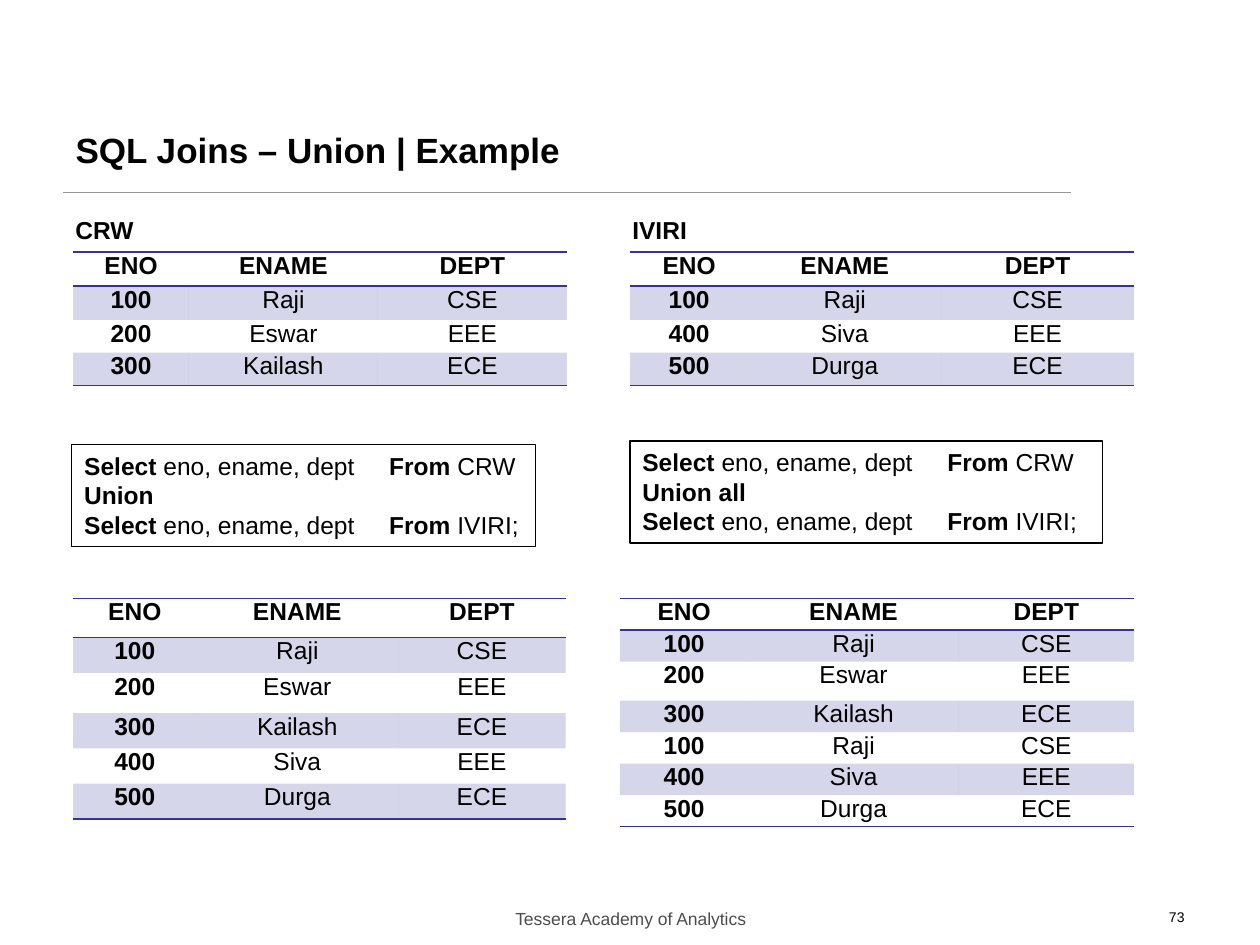
"""Build the slide that compares UNION with UNION ALL on two tables."""
from lxml.etree import SubElement
from pptx import Presentation
from pptx.dml.color import RGBColor
from pptx.enum.shapes import MSO_CONNECTOR, MSO_SHAPE
from pptx.enum.text import MSO_ANCHOR, PP_ALIGN
from pptx.oxml import parse_xml
from pptx.oxml.ns import nsdecls, qn
from pptx.util import Inches, Pt

COLORS = {"text": "000000", "footer": "4D4D4D", "rule": "969696", "table": "333399"}
FONT = "Arial"
PLAIN_STYLE = "{2D5ABB26-0587-4C30-8999-92F81FD0307C}"
HEADER = ("ENO", "ENAME", "DEPT")
LEFT_ROWS = [("100", "Raji", "CSE"), ("200", "Eswar", "EEE"), ("300", "Kailash", "ECE")]
RIGHT_ROWS = [("100", "Raji", "CSE"), ("400", "Siva", "EEE"), ("500", "Durga", "ECE")]
UNION_ROWS = LEFT_ROWS + [row for row in RIGHT_ROWS if row not in LEFT_ROWS]
LEFT_NAME, RIGHT_NAME = "CRW", "IVIRI"


def color(name):
    return RGBColor.from_string(COLORS[name])


def add_run(p, text, size=14, bold=False, fill="text"):
    r = p.add_run()
    r.text = text
    r.font.name, r.font.size, r.font.bold = FONT, Pt(size), bold
    r.font.color.rgb = color(fill)


def add_title(s, text):
    sp = s.shapes.title
    sp.left, sp.top, sp.width, sp.height = map(Inches, (0.5, 0.85, 7.5, 0.67))
    tf = sp.text_frame
    tf.vertical_anchor = MSO_ANCHOR.MIDDLE
    p = tf.paragraphs[0]
    p.alignment = PP_ALIGN.LEFT
    add_run(p, text, 20, True)


def add_rule(s):
    line = s.shapes.add_connector(
        MSO_CONNECTOR.STRAIGHT, Inches(0.5), Inches(1.53), Inches(8.5), Inches(1.53))
    line.line.color.rgb = color("rule")
    line.line.width = Pt(0.75)
    SubElement(line._element.spPr, qn("a:effectLst"))


def add_label(s, box, text, align=PP_ALIGN.LEFT, **font):
    tf = s.shapes.add_textbox(*map(Inches, box)).text_frame
    tf.word_wrap = True
    p = tf.paragraphs[0]
    p.alignment = align
    add_run(p, text, **font)


def add_select(p, table):
    tabs = SubElement(p._p.get_or_add_pPr(), qn("a:tabLst"))
    SubElement(tabs, qn("a:tab"), pos=str(Inches(2.42)), algn="l")
    add_run(p, "Select ", bold=True)
    add_run(p, "eno, ename, dept\t")
    add_run(p, "From", bold=True)
    add_run(p, " " + table)


def add_query(s, box, operator):
    sp = s.shapes.add_shape(MSO_SHAPE.RECTANGLE, *map(Inches, box))
    sp.shadow.inherit = False
    sp.fill.background()
    sp.line.color.rgb = color("text")
    sp.line.width = Pt(0.75)
    tf = sp.text_frame
    tf.word_wrap = True
    tf.vertical_anchor = MSO_ANCHOR.TOP
    first, middle, last = tf.paragraphs[0], tf.add_paragraph(), tf.add_paragraph()
    add_select(first, LEFT_NAME)
    add_run(middle, operator, bold=True)
    add_select(last, RIGHT_NAME + ";")
    for p in tf.paragraphs:
        p.alignment = PP_ALIGN.LEFT


def add_border(cell, side):
    cell._tc.get_or_add_tcPr().insert(0, parse_xml(
        f'<a:{side} {nsdecls("a")} w="{Pt(1)}"><a:solidFill>'
        f'<a:srgbClr val="{COLORS["table"]}"/></a:solidFill></a:{side}>'))


def fill_cell(cell, tinted):
    if not tinted:
        cell.fill.background()
        return
    cell.fill.solid()
    cell.fill.fore_color.rgb = color("table")
    rgb = cell._tc.tcPr.find(".//" + qn("a:srgbClr"))
    SubElement(rgb, qn("a:alpha"), val="20000")


def add_table(s, left, top, widths, heights, rows):
    data = [HEADER] + rows
    frame = s.shapes.add_table(len(data), len(HEADER), Inches(left), Inches(top),
                               Inches(sum(widths)), Inches(sum(heights)))
    table = frame.table
    table.first_row = table.horz_banding = False
    table._tbl.tblPr.find(qn("a:tableStyleId")).text = PLAIN_STYLE
    for column, width in zip(table.columns, widths):
        column.width = Inches(width)
    for i, (values, height) in enumerate(zip(data, heights)):
        table.rows[i].height = Inches(height)
        for j, value in enumerate(values):
            cell = table.cell(i, j)
            cell.margin_left = cell.margin_right = cell.margin_top = cell.margin_bottom = 0
            p = cell.text_frame.paragraphs[0]
            p.alignment = PP_ALIGN.CENTER
            add_run(p, value, bold=i == 0 or j == 0)
            fill_cell(cell, i % 2 == 1)
            if i in (0, len(data) - 1):
                add_border(cell, "lnB")
            if i == 0:
                add_border(cell, "lnT")


def main():
    prs = Presentation()
    prs.slide_width, prs.slide_height = Inches(10), Inches(7.5)
    s = prs.slides.add_slide(prs.slide_layouts[5])
    add_rule(s)
    add_label(s, (3.42, 7.16, 3.17, 0.25), "Tessera Academy of Analytics",
              PP_ALIGN.CENTER, size=10, fill="footer")
    add_label(s, (7.17, 7.16, 2.33, 0.25), "73", PP_ALIGN.RIGHT, size=8)
    add_title(s, "SQL Joins – Union | Example")

    source_heights = (0.27, 0.27, 0.26, 0.26)
    add_table(s, 0.58, 2, (0.92, 1.5, 1.5), source_heights, LEFT_ROWS)
    add_table(s, 5, 2, (0.94, 1.53, 1.53), source_heights, RIGHT_ROWS)
    add_table(s, 0.58, 4.75, (0.98, 1.6, 1.33),
              (0.31, 0.28, 0.32, 0.28, 0.28, 0.28), UNION_ROWS)
    add_table(s, 4.92, 4.75, (1.02, 1.67, 1.39),
              (0.25, 0.25, 0.31, 0.25, 0.25, 0.25, 0.25), LEFT_ROWS + RIGHT_ROWS)

    add_label(s, (0.5, 1.66, 1.25, 0.34), LEFT_NAME, bold=True)
    add_label(s, (4.92, 1.66, 1.25, 0.34), RIGHT_NAME, bold=True)
    add_query(s, (0.57, 3.53, 3.68, 0.81), "Union")
    add_query(s, (5, 3.5, 3.75, 0.81), "Union all")
    prs.save("out.pptx")


if __name__ == "__main__":
    main()
